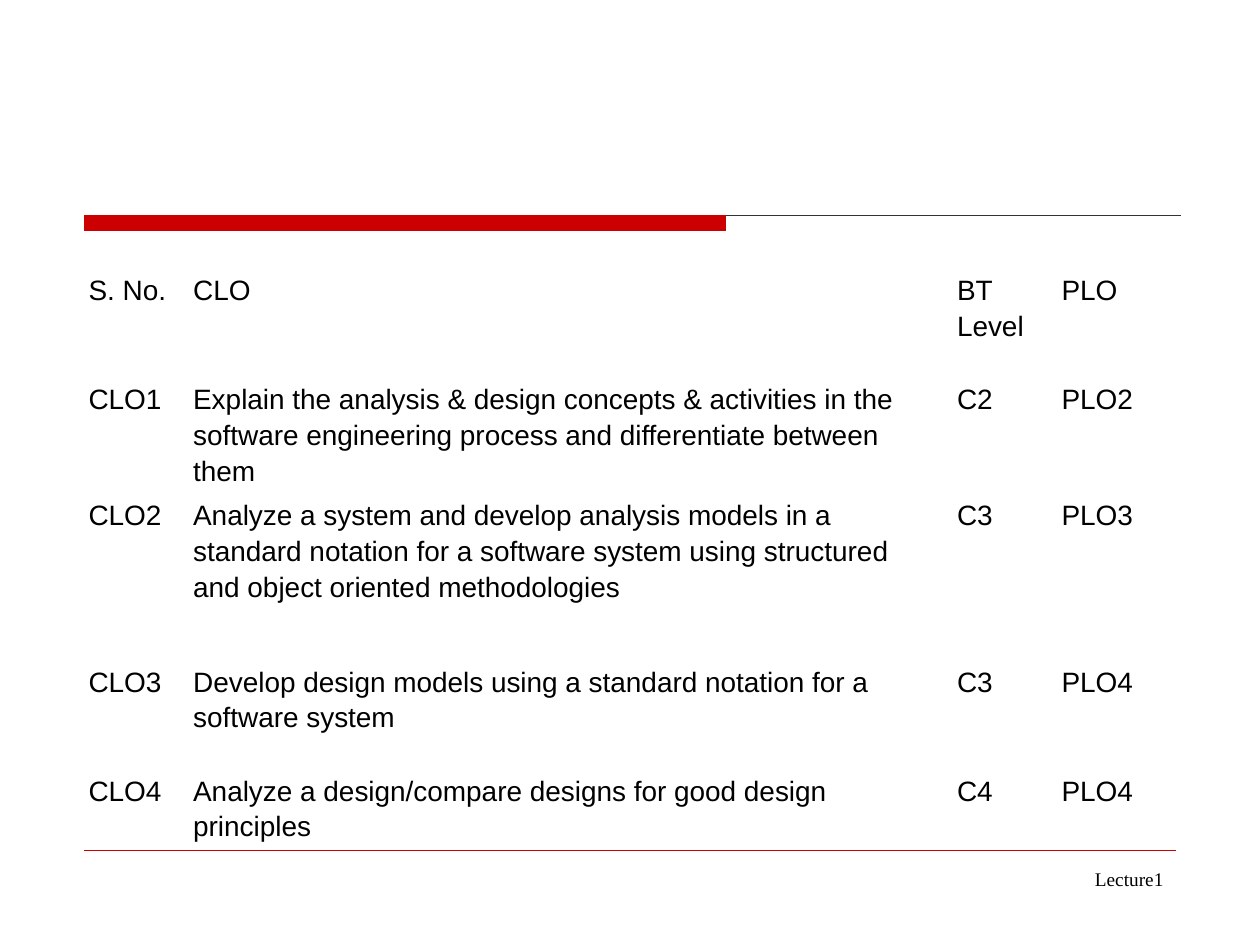
from lxml.etree import SubElement
from pptx import Presentation
from pptx.dml.color import RGBColor
from pptx.enum.shapes import MSO_CONNECTOR, MSO_SHAPE
from pptx.enum.text import PP_ALIGN
from pptx.oxml.ns import qn
from pptx.util import Pt

RED, BLACK, DARK = "CC0000", "000000", "333333"
LEFT, BAR_TOP, BAR_RIGHT = 48.2, 123.1, 414.7

COLUMN_WIDTHS = [59.8, 436.5, 59.8, 52]
ROW_HEIGHTS = [62.4, 62.4, 95, 62.4, 30.2]
OUTCOMES = [
    ["S. No.", "CLO", "BT Level", "PLO"],
    ["CLO1", "Explain the analysis & design concepts & activities in the software "
     "engineering process and differentiate between them", "C2", "PLO2"],
    ["CLO2", "Analyze a system and develop analysis models in a standard notation for a "
     "software system using structured and object oriented methodologies", "C3", "PLO3"],
    ["CLO3", "Develop design models using a standard notation for a software system",
     "C3", "PLO4"],
    ["CLO4", "Analyze a design/compare designs for good design principles", "C4", "PLO4"],
]
CELL_MARGINS = {"margin_left": Pt(5), "margin_right": Pt(5),
                "margin_top": Pt(0), "margin_bottom": Pt(0)}
CELL_PARAGRAPH = {"line_spacing": 1.15, "space_after": Pt(10)}
CELL_FONT = {"name": "Arial", "size": Pt(16), "bold": False}
FOOTER_FONT = {"name": "Times New Roman", "size": Pt(11)}


def color(code):
    return RGBColor.from_string(code)


def apply(target, values):
    for name, value in values.items():
        setattr(target, name, value)


def write(frame, text, font, paragraph):
    para = frame.paragraphs[0]
    apply(para, paragraph)
    span = para.add_run()
    span.text = text
    apply(span.font, font)
    span.font.color.rgb = color(BLACK)


def add_rule(page, left, right, top, code):
    rule = page.shapes.add_connector(
        MSO_CONNECTOR.STRAIGHT, Pt(left), Pt(top), Pt(right), Pt(top))
    rule.line.color.rgb = color(code)
    rule.line.width = Pt(0.75)
    SubElement(rule._element.spPr, qn("a:effectLst"))


def add_bar(page):
    bar = page.shapes.add_shape(MSO_SHAPE.RECTANGLE, Pt(LEFT), Pt(BAR_TOP),
                                Pt(BAR_RIGHT - LEFT), Pt(8.8))
    bar.shadow.inherit = False
    bar.fill.solid()
    bar.fill.fore_color.rgb = color(RED)
    bar.line.color.rgb = color(RED)
    bar.line.width = Pt(0.75)


def add_footer(page):
    box = page.shapes.add_textbox(Pt(498), Pt(492), Pt(174), Pt(37.5))
    box.text_frame.word_wrap = True
    write(box.text_frame, "Lecture1", FOOTER_FONT, {"alignment": PP_ALIGN.RIGHT})


def add_outcomes(page):
    table = page.shapes.add_table(
        len(ROW_HEIGHTS), len(COLUMN_WIDTHS), Pt(45.6), Pt(154.8),
        Pt(sum(COLUMN_WIDTHS)), Pt(sum(ROW_HEIGHTS))).table
    apply(table, {"first_row": False, "horz_banding": False})
    for column, width in zip(table.columns, COLUMN_WIDTHS):
        column.width = Pt(width)
    for row, height, texts in zip(table.rows, ROW_HEIGHTS, OUTCOMES):
        row.height = Pt(height)
        for cell, text in zip(row.cells, texts):
            cell.fill.background()
            apply(cell, CELL_MARGINS)
            write(cell.text_frame, text, CELL_FONT, CELL_PARAGRAPH)


def main():
    deck = Presentation()
    deck.slide_width, deck.slide_height = Pt(720), Pt(540)
    page = deck.slides.add_slide(deck.slide_layouts[6])

    # Header bar with its thin extension, and the footer rule
    add_rule(page, BAR_RIGHT, 674.8, BAR_TOP, DARK)
    add_bar(page)
    add_rule(page, LEFT, 672, 486, RED)

    # Footer and course outcomes
    add_footer(page)
    add_outcomes(page)
    deck.save("out.pptx")


if __name__ == "__main__":
    main()
